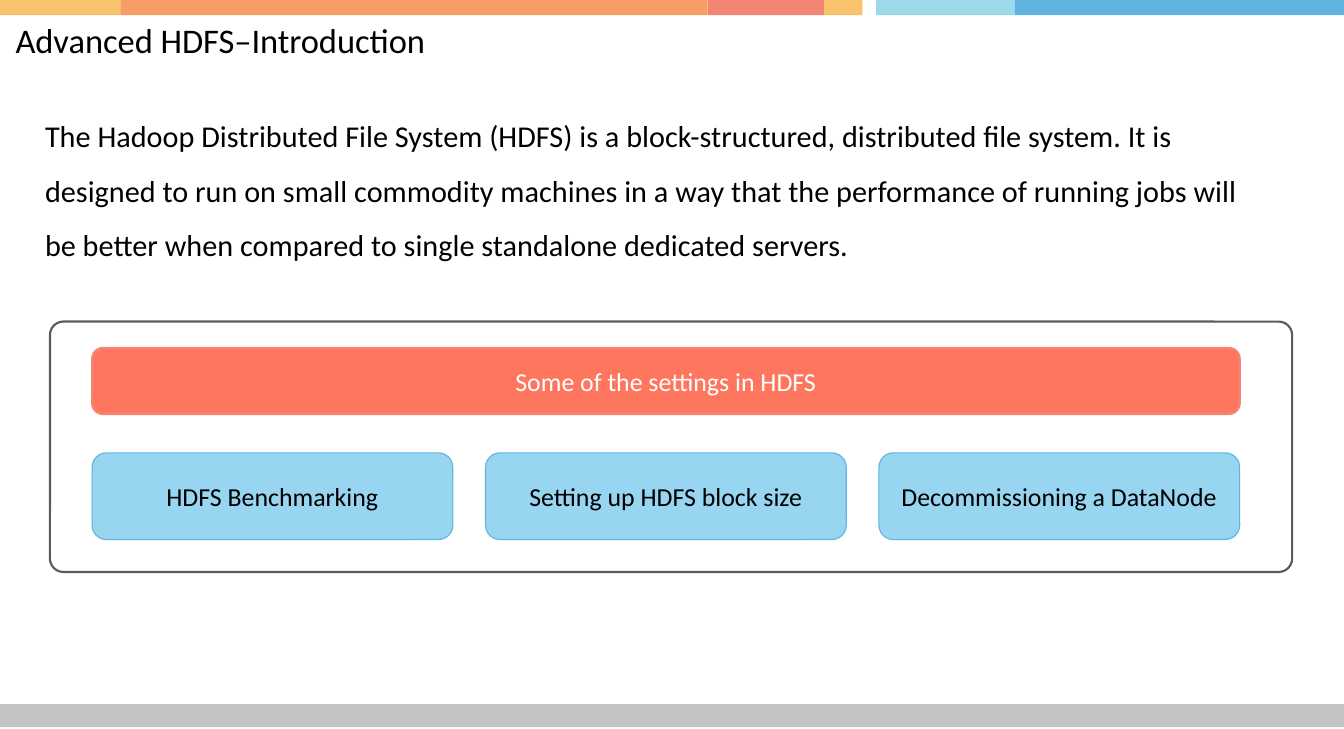
from pptx import Presentation
from pptx.dml.color import RGBColor
from pptx.enum.shapes import MSO_SHAPE
from pptx.enum.text import MSO_ANCHOR, MSO_AUTO_SIZE, PP_ALIGN
from pptx.util import Pt

# Content
TITLE = "Advanced HDFS–Introduction"
INTRO = ("The Hadoop Distributed File System (HDFS) is a block-structured, "
         "distributed file system. It is designed to run on small commodity "
         "machines in a way that the performance of running jobs will be better "
         "when compared to single standalone dedicated servers.")
BANNER = "Some of the settings in HDFS"
SETTINGS = ["HDFS Benchmarking", "Setting up HDFS block size",
            "Decommissioning a DataNode"]

COLORS = {
    "black": "000000", "white": "FFFFFF", "footer": "C4C4C4",
    "yellow": "F9C36E", "orange": "F69E66", "salmon": "F38573",
    "aqua": "9CDAEB", "blue": "60B4DF",
    "panel_line": "5B5B5B", "banner": "FF765F", "box": "97D5F0",
}
STRIPES = [  # left, right, colour
    (0, 56.1, "yellow"), (56.1, 328, "orange"), (328, 381.9, "salmon"),
    (381.9, 399.7, "yellow"), (406, 470.3, "aqua"), (470.3, 622.8, "blue"),
]

# Layout, in points
SLIDE_W, SLIDE_H = 622.8, 337.68
BANNER_X, BANNER_W = 42.7, 531.8
BOX_W = 167.2
BOX_PITCH = (BANNER_W - BOX_W) / (len(SETTINGS) - 1)

prs = Presentation()
prs.slide_width, prs.slide_height = Pt(SLIDE_W), Pt(SLIDE_H)
s = prs.slides.add_slide(prs.slide_layouts[5])


def rgb(name):
    return RGBColor.from_string(COLORS[name])


def write(sp, text, size, color="black", align=PP_ALIGN.LEFT,
          anchor=MSO_ANCHOR.MIDDLE, spacing=1.0):
    tf = sp.text_frame
    tf.margin_left = tf.margin_right = tf.margin_top = tf.margin_bottom = 0
    tf.word_wrap = True
    tf.auto_size = MSO_AUTO_SIZE.NONE
    tf.vertical_anchor = anchor
    p = tf.paragraphs[0]
    p.text = text
    p.alignment = align
    p.line_spacing = spacing
    p.font.name = "Calibri"
    p.font.size = Pt(size)
    p.font.bold = False
    p.font.color.rgb = rgb(color)


def add_block(kind, x, y, w, h, fill=None, line=None, line_w=1, radius=0):
    sp = s.shapes.add_shape(kind, Pt(x), Pt(y), Pt(w), Pt(h))
    sp.shadow.inherit = False
    if radius:
        sp.adjustments[0] = radius / min(w, h)
    if fill:
        sp.fill.solid()
        sp.fill.fore_color.rgb = rgb(fill)
    else:
        sp.fill.background()
    if line:
        sp.line.color.rgb = rgb(line)
        sp.line.width = Pt(line_w)
    else:
        sp.line.fill.background()
    return sp


# Footer and top stripes
add_block(MSO_SHAPE.RECTANGLE, 0, 326.2, SLIDE_W, 10.7, "footer")
for left, right, color in STRIPES:
    add_block(MSO_SHAPE.RECTANGLE, left, 0, right - left, 7, color)

# Title
title = s.shapes.title
title.left, title.top, title.width, title.height = Pt(7.2), Pt(8), Pt(610), Pt(21)
write(title, TITLE, 16)

# Introduction
intro = s.shapes.add_textbox(Pt(20.9), Pt(46.1), Pt(565), Pt(77))
write(intro, INTRO, 14, anchor=MSO_ANCHOR.TOP, spacing=1.5)

# Panel with banner and setting boxes
add_block(MSO_SHAPE.ROUNDED_RECTANGLE, 23.2, 149, 575.6, 116,
          line="panel_line", radius=6.2)
banner = add_block(MSO_SHAPE.ROUNDED_RECTANGLE, BANNER_X, 161.2, BANNER_W, 30.6,
                   "banner", "salmon", radius=5.1)
write(banner, BANNER, 12, "white", PP_ALIGN.CENTER)
for i, label in enumerate(SETTINGS):
    box = add_block(MSO_SHAPE.ROUNDED_RECTANGLE, BANNER_X + i * BOX_PITCH, 209.8,
                    BOX_W, 40.2, "box", "blue", 0.5, radius=6.7)
    write(box, label, 12, align=PP_ALIGN.CENTER)

prs.save("out.pptx")
